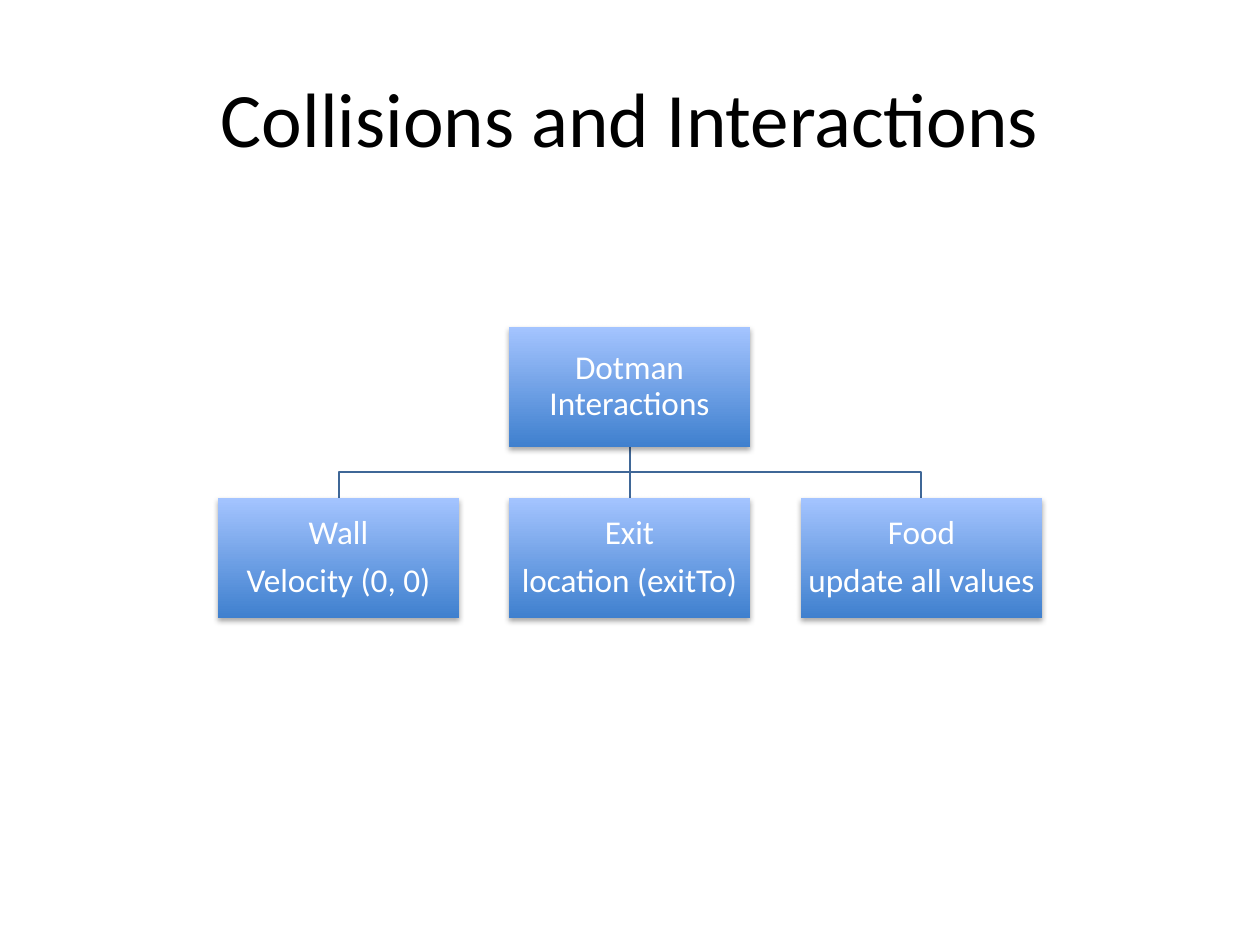
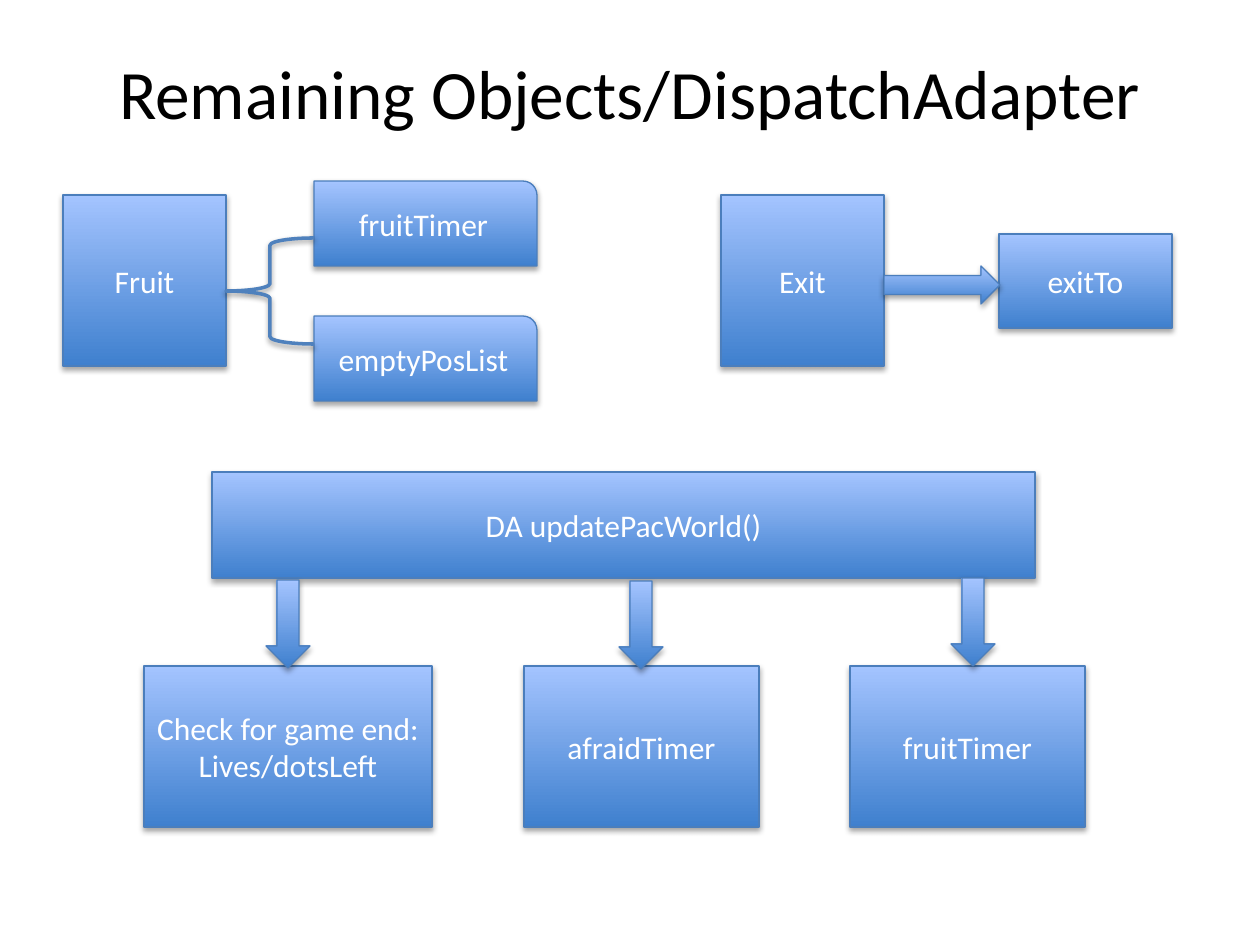
from lxml import etree
from pptx import Presentation
from pptx import util as u
from pptx.dml.color import RGBColor
from pptx.enum import shapes, text
from pptx.oxml.ns import qn

SCALE = 914400 / 126
HUES = {"ink": "000000", "white": "FFFFFF", "deep": "3F80CE", "pale": "A4C4FF",
        "edge": "4B7EBC", "brace": "4F81BD", "tree": "3F6797"}
KIND = shapes.MSO_SHAPE


def px(n):
    return u.Emu(round(n * SCALE))


def hue(name):
    return RGBColor.from_string(HUES[name])


class Deck:
    font = "Calibri"

    def __init__(self):
        self.prs = Presentation()
        self.prs.slide_width, self.prs.slide_height = px(1260), px(945)

    def page(self, title, high, size):
        self.slide = self.prs.slides.add_slide(self.prs.slide_layouts[6])
        box = self.slide.shapes.add_textbox(*map(px, (63, 38, 1134, high)))
        self.label(box, title, size, "ink", 12)

    def label(self, shape, words, size, color, inset, line=None, after=None):
        frame = shape.text_frame
        frame.text = words
        frame.word_wrap = True
        frame.vertical_anchor = text.MSO_ANCHOR.MIDDLE
        frame.margin_left = frame.margin_right = px(inset)
        frame.margin_top = frame.margin_bottom = px(min(inset, 6))
        for para in frame.paragraphs:
            para.alignment = text.PP_ALIGN.CENTER
            para.line_spacing = line
            para.space_after = after
            for run in para.runs:
                run.font.name = self.font
                run.font.size = u.Pt(size)
                run.font.color.rgb = hue(color)

    def stroke(self, shape, color, width=0.75):
        shape.line.color.rgb = hue(color)
        shape.line.width = u.Pt(width)

    def shade(self, shape, dist=23000, alpha=35000):
        shape.shadow.inherit = False
        effect = shape.element.spPr.find(qn("a:effectLst"))
        drop = etree.SubElement(effect, qn("a:outerShdw"), blurRad="40000",
                                dist=str(dist), dir="5400000", rotWithShape="0")
        tint = etree.SubElement(drop, qn("a:srgbClr"), val=HUES["ink"])
        etree.SubElement(tint, qn("a:alpha"), val=str(alpha))

    def block(self, kind, *area, edge=True):
        shape = self.slide.shapes.add_shape(kind, *map(px, area))
        shape.fill.gradient()
        shape.fill.gradient_angle = 90
        for stop, name in zip(shape.fill.gradient_stops, ("deep", "pale")):
            stop.color.rgb = hue(name)
        if edge:
            self.stroke(shape, "edge")
        else:
            shape.line.fill.background()
        self.shade(shape)
        return shape

    def box(self, words, *area, kind=KIND.RECTANGLE):
        self.label(self.block(kind, *area), words, 18, "white", 10)

    def node(self, words, left, top):
        shape = self.block(KIND.RECTANGLE, left, top, 241, 120, edge=False)
        self.label(shape, words, 19, "white", 1, 0.9, u.Pt(6.65))

    def brace(self, *area):
        shape = self.slide.shapes.add_shape(KIND.LEFT_BRACE, *map(px, area))
        shape.fill.background()
        self.stroke(shape, "brace", 2)
        self.shade(shape, 20000, 38000)

    def elbow(self, x, top, end, low):
        mid = (top + low) / 2
        pen = self.slide.shapes.build_freeform(x, top, SCALE)
        pen.add_line_segments([(x, mid), (end, mid), (end, low)], close=False)
        shape = pen.convert_to_shape()
        shape.fill.background()
        shape.shadow.inherit = False
        self.stroke(shape, "tree")

    def stem(self, x, top, low):
        line = self.slide.shapes.add_connector(
            shapes.MSO_CONNECTOR.STRAIGHT, *map(px, (x, top, x, low)))
        self.stroke(line, "tree")
        etree.SubElement(line.element.spPr, qn("a:effectLst"))


deck = Deck()

deck.page("Collisions and Interactions", 157, 44)
for end in (339, 921):
    deck.elbow(630, 447, end, 498)
deck.stem(630, 447, 498)
deck.node("Dotman Interactions", 509, 327)
for left, words in ((218, "Wall\nVelocity (0, 0)"),
                    (509, "Exit\nlocation (exitTo)"),
                    (801, "Food\nupdate all values")):
    deck.node(words, left, 498)

deck.page("Remaining Objects/DispatchAdapter", 107, 39.6)
for words, left in (("Fruit", 63), ("Exit", 721)):
    deck.box(words, left, 195, 163, 171)
for words, top in (("fruitTimer", 181), ("emptyPosList", 316)):
    deck.box(words, 314, top, 223, 85, kind=KIND.ROUND_1_RECTANGLE)
deck.box("exitTo", 999, 234, 173, 94)
deck.brace(226, 238, 88, 106)
deck.block(KIND.RIGHT_ARROW, 884, 266, 116, 38)
deck.box("DA updatePacWorld()", 212, 472, 823, 106)
for words, left, wide in (("Check for game end:\nLives/dotsLeft", 144, 288),
                          ("afraidTimer", 524, 235),
                          ("fruitTimer", 850, 235)):
    deck.box(words, left, 666, wide, 161)
for left, top in ((266, 580), (619, 581), (951, 578)):
    deck.block(KIND.DOWN_ARROW, left, top, 44, 88)

deck.prs.save("out.pptx")
